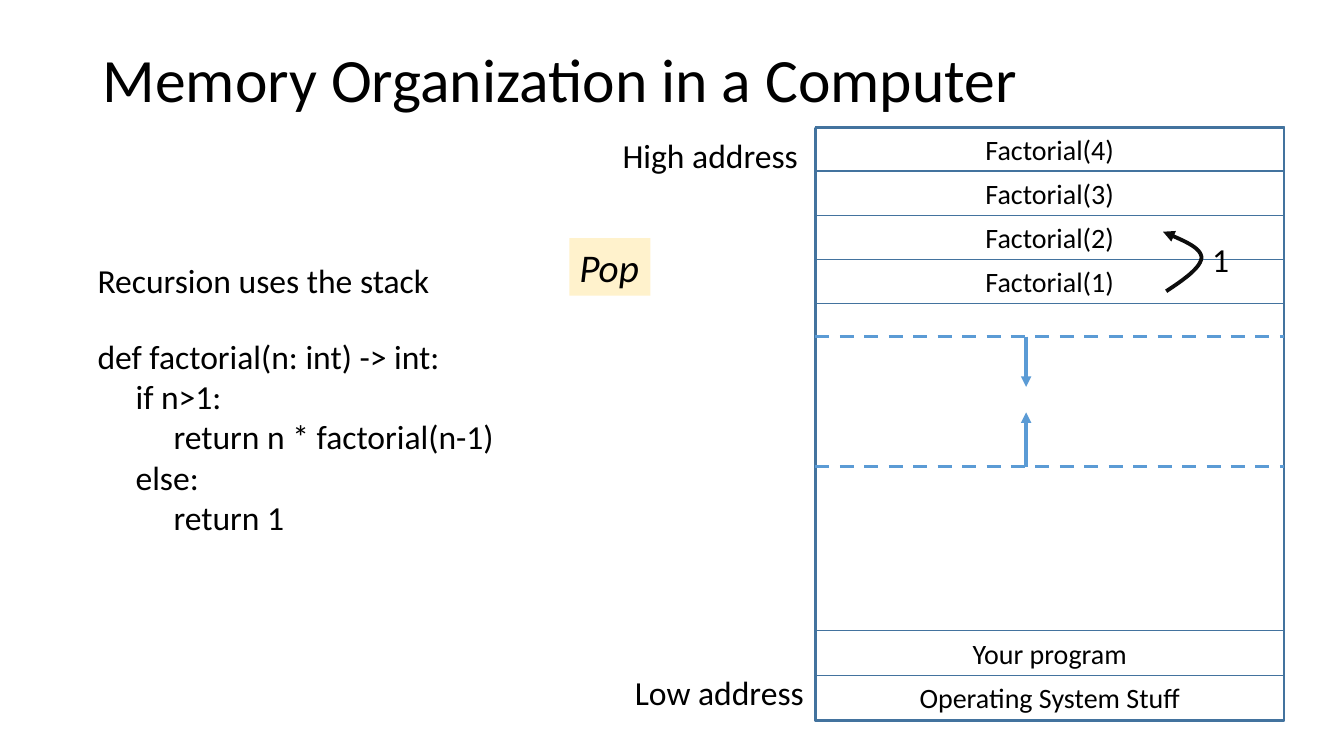
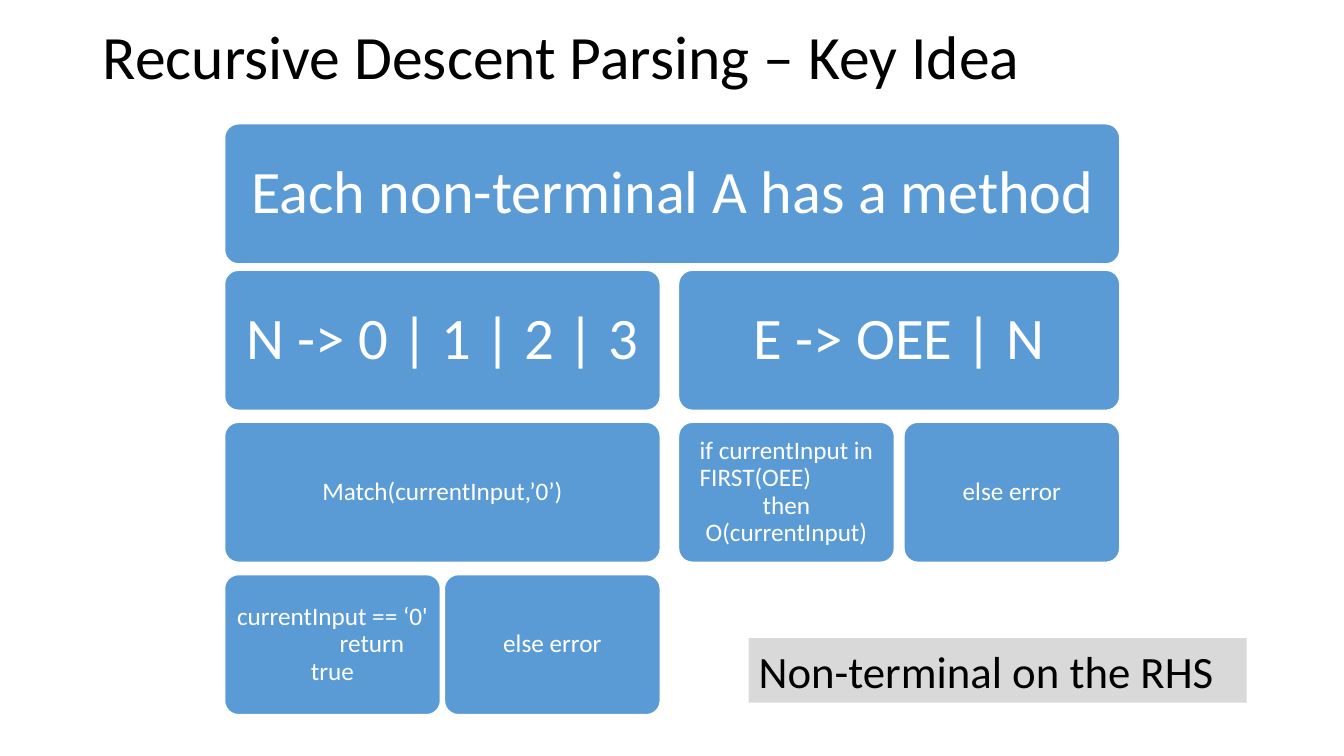
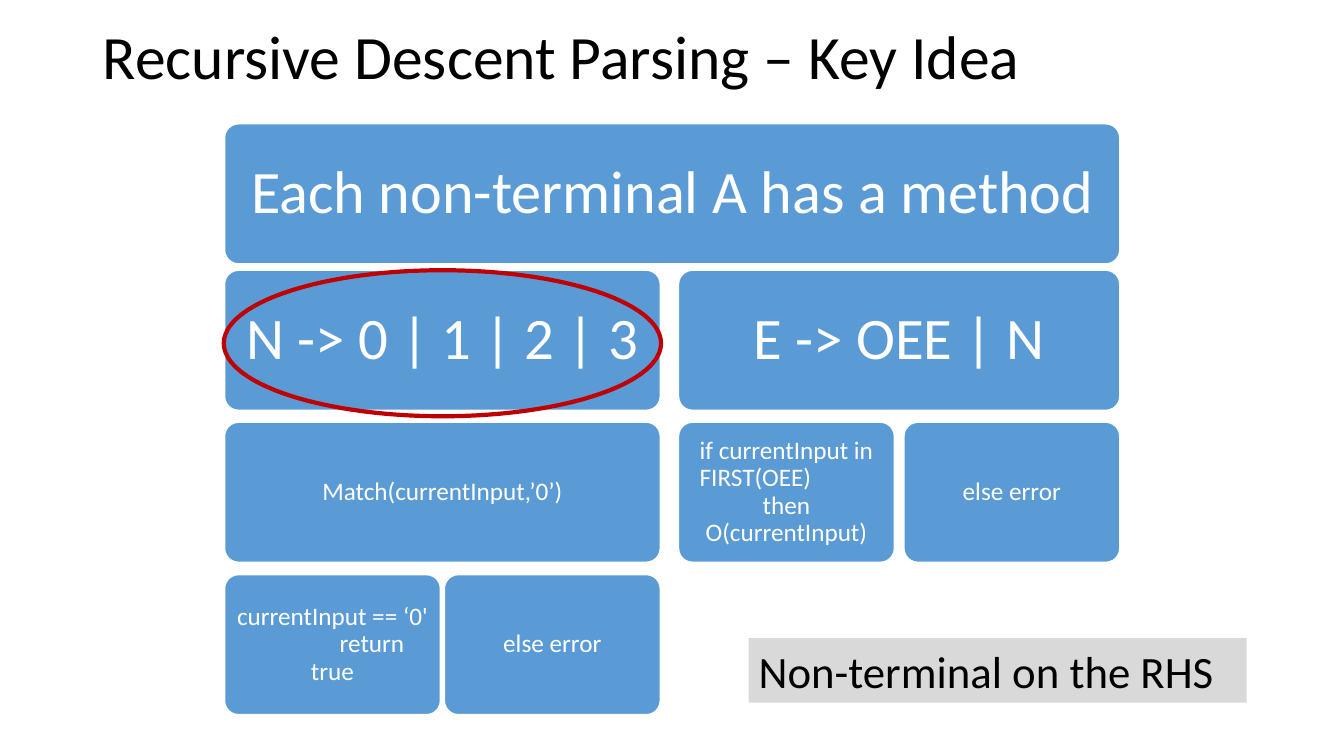
"""Build three slides on the recursion stack and recursive descent parsing."""
import pptx
import pptx.dml.color
import pptx.enum.dml
import pptx.enum.shapes
import pptx.enum.text
import pptx.oxml.ns
import pptx.util
from lxml import etree

Cm = pptx.util.Cm
Pt = pptx.util.Pt
RGB = pptx.dml.color.RGBColor
SHAPE = pptx.enum.shapes.MSO_SHAPE
ALIGN = pptx.enum.text.PP_ALIGN
ANCHOR = pptx.enum.text.MSO_ANCHOR
qn = pptx.oxml.ns.qn

BLACK = RGB(0x00, 0x00, 0x00)
WHITE = RGB(0xFF, 0xFF, 0xFF)
BLUE = RGB(0x5B, 0x9B, 0xD5)
DARK_BLUE = RGB(0x43, 0x73, 0x9E)
INK = RGB(0x0D, 0x0D, 0x0D)
CREAM = RGB(0xFF, 0xF2, 0xCC)
GREY = RGB(0xD9, 0xD9, 0xD9)
RED = RGB(0xC0, 0x00, 0x00)
FONT = "Calibri"

STACK_X, STACK_Y, STACK_W, STACK_H = 20.55, 3.23, 11.81, 14.94
CELL_H = 1.12
COLS = (5.66, 11.2, 17.1, 22.78)
ROWS = (3.12, 6.81, 10.64, 14.48)
BOX_W, BOX_H = 5.44, 3.53
METHOD_BOXES = (
    (0, 0, 3, 43, ("Each non-terminal A has a method",)),
    (1, 0, 1, 42, ("N -> 0 | 1 | 2 | 3",)),
    (2, 0, 1, 18, ("Match(currentInput,’0’)",)),
    (3, 0, 0, 18, ("currentInput == ‘0'", ("return", 2.65), "true")),
    (3, 1, 1, 18, ("else error",)),
    (1, 2, 3, 42, ("E -> OEE | N",)),
    (2, 2, 2, 18, ("if currentInput in", ("FIRST(OEE)", 0.28), "then", "O(currentInput)")),
    (2, 3, 3, 18, ("else error",)),
)
CODE = (
    "def factorial(n: int) -> int:",
    "     if n>1:",
    "          return n * factorial(n-1)",
    "     else:",
    "          return 1",
)


def style_paragraph(p, size, color=BLACK, align=ALIGN.LEFT, italic=False):
    """Set the alignment and font of a paragraph."""
    p.alignment = align
    p.font.name = FONT
    p.font.size = Pt(size)
    p.font.color.rgb = color
    p.font.italic = italic


def add_lines(tf, lines, size, color=BLACK, align=ALIGN.LEFT, italic=False):
    """Fill a text frame; a (text, indent) pair makes an indented left line."""
    for i, line in enumerate(lines):
        p = tf.paragraphs[0] if i == 0 else tf.add_paragraph()
        text, indent = line if isinstance(line, tuple) else (line, None)
        p.text = text
        if indent is not None:
            p._p.get_or_add_pPr().set("marL", str(Cm(indent)))
        style_paragraph(p, size, color, align if indent is None else ALIGN.LEFT, italic)


def add_box(s, kind, x, y, w, h, fill=None, line=None, width=1):
    """Add a preset shape with an optional fill and outline."""
    sp = s.shapes.add_shape(kind, Cm(x), Cm(y), Cm(w), Cm(h))
    paint(sp, fill, line, width)
    return sp


def paint(sp, fill, line, width):
    """Set the fill and outline of a shape and drop its shadow."""
    sp.shadow.inherit = False
    if fill is None:
        sp.fill.background()
    else:
        sp.fill.solid()
        sp.fill.fore_color.rgb = fill
    if line is None:
        sp.line.fill.background()
    else:
        sp.line.color.rgb = line
        sp.line.width = Pt(width)


def add_title(s, text, y):
    """Add the slide title."""
    tf = s.shapes.add_textbox(Cm(2.34), Cm(y), Cm(29.21), Cm(2.4)).text_frame
    tf.word_wrap = True
    tf.vertical_anchor = ANCHOR.MIDDLE
    add_lines(tf, (text,), 44)
    tf.paragraphs[0].line_spacing = 0.9


def add_label(s, x, y, w, h, *lines):
    """Add unwrapped 24 pt text."""
    tf = s.shapes.add_textbox(Cm(x), Cm(y), Cm(w), Cm(h)).text_frame
    tf.word_wrap = False
    add_lines(tf, lines, 24)


def add_tag(s, x, y, w, h, text, size, fill, italic=False):
    """Add a filled rectangle with left-aligned text."""
    tf = add_box(s, SHAPE.RECTANGLE, x, y, w, h, fill).text_frame
    tf.word_wrap = True
    add_lines(tf, (text,), size, italic=italic)


def add_cell(s, y, text):
    """Add one cell of the memory column."""
    sp = add_box(s, SHAPE.RECTANGLE, STACK_X, y, STACK_W, CELL_H, line=DARK_BLUE, width=0.75)
    add_lines(sp.text_frame, (text,), 20, align=ALIGN.CENTER)


def add_arrowhead(sp):
    """Put a triangle at the end of a line."""
    etree.SubElement(sp.line._get_or_add_ln(), qn("a:tailEnd"), type="triangle")


def add_line(s, x1, y1, x2, y2, dashed=False):
    """Add a dashed boundary or an arrow."""
    cn = s.shapes.add_connector(
        pptx.enum.shapes.MSO_CONNECTOR.STRAIGHT, Cm(x1), Cm(y1), Cm(x2), Cm(y2))
    cn.line.color.rgb = BLUE
    cn.line.width = Pt(2.5)
    if dashed:
        cn.line.dash_style = pptx.enum.dml.MSO_LINE.DASH
    else:
        add_arrowhead(cn)
    etree.SubElement(cn._element.spPr, qn("a:effectLst"))


def bezier(points, steps=16):
    """Return points along a cubic curve, without its start."""
    result = []
    for i in range(1, steps + 1):
        t = i / steps
        weights = ((1 - t) ** 3, 3 * t * (1 - t) ** 2, 3 * t ** 2 * (1 - t), t ** 3)
        result.append(tuple(Cm(sum(k * p[axis] for k, p in zip(weights, points)))
                            for axis in (0, 1)))
    return result


def add_return_arrow(s):
    """Add the curved arrow from a popped call to its caller."""
    start, turn, end = (29.39, 7.34), (30.28, 6.48), (29.31, 5.84)
    lower = bezier((start, (29.85, 7.04), (30.28, 6.73), turn))
    upper = bezier((turn, (30.25, 6.22), (29.79, 6.05), end))
    builder = s.shapes.build_freeform(Cm(start[0]), Cm(start[1]))
    builder.add_line_segments(lower + upper, close=False)
    sp = builder.convert_to_shape()
    paint(sp, None, INK, 2.75)
    add_arrowhead(sp)


def add_method_box(s, row, first, last, size, lines):
    """Add a rounded box that spans columns first to last."""
    x = COLS[first]
    sp = add_box(s, SHAPE.ROUNDED_RECTANGLE, x, ROWS[row],
                 COLS[last] + BOX_W - x, BOX_H, BLUE, WHITE)
    sp.adjustments[0] = 0.1
    tf = sp.text_frame
    tf.word_wrap = True
    tf.vertical_anchor = ANCHOR.MIDDLE
    inset = Cm(0.4 if size > 40 else 0.15)
    tf.margin_left = tf.margin_right = tf.margin_top = tf.margin_bottom = inset
    add_lines(tf, lines, size, WHITE, ALIGN.CENTER)
    for p in tf.paragraphs:
        p.line_spacing = 0.9


def memory_slide(s):
    """Draw the memory column beside the recursive code."""
    add_title(s, "Memory Organization in a Computer", 0.89)
    add_box(s, SHAPE.RECTANGLE, STACK_X, STACK_Y, STACK_W, STACK_H, line=DARK_BLUE, width=1.75)
    for i, text in enumerate(("Your program", "Operating System Stuff")):
        add_cell(s, 15.9 + i * CELL_H, text)
    for i in range(4):
        add_cell(s, 3.2 + i * 1.11, f"Factorial({4 - i})")
    for y, tip in ((8.48, 9.75), (11.76, 10.39)):
        add_line(s, STACK_X, y, STACK_X + STACK_W, y, dashed=True)
        add_line(s, 25.86, y, 25.86, tip)
    add_label(s, 15.75, 16.81, 4.8, 1.27, "Low address")
    add_label(s, 15.44, 3.28, 4.98, 1.27, "High address")
    add_label(s, 2.21, 6.43, 8.94, 1.27, "Recursion uses the stack")
    add_return_arrow(s)
    add_label(s, 30.3, 5.89, 0.94, 1.27, "1")
    add_tag(s, 14.35, 6, 2.04, 1.45, "Pop", 28, CREAM, italic=True)
    add_label(s, 2.21, 8.33, 10.57, 5.4, *CODE)


def parsing_slide(s, circled=False):
    """Draw the method diagram, with the N rule circled on request."""
    add_title(s, "Recursive Descent Parsing – Key Idea", 0.29)
    for box in METHOD_BOXES:
        add_method_box(s, *box)
    add_tag(s, 18.87, 16.08, 12.55, 1.63, "Non-terminal on the RHS", 32, GREY)
    if circled:
        add_box(s, SHAPE.OVAL, 5.64, 6.81, 11.02, 3.68, line=RED, width=3)


def main():
    """Build and save the presentation."""
    prs = pptx.Presentation()
    prs.slide_width, prs.slide_height = Cm(33.87), Cm(19.05)
    blank = prs.slide_layouts[6]
    memory_slide(prs.slides.add_slide(blank))
    parsing_slide(prs.slides.add_slide(blank))
    parsing_slide(prs.slides.add_slide(blank), circled=True)
    prs.save("out.pptx")


if __name__ == "__main__":
    main()
